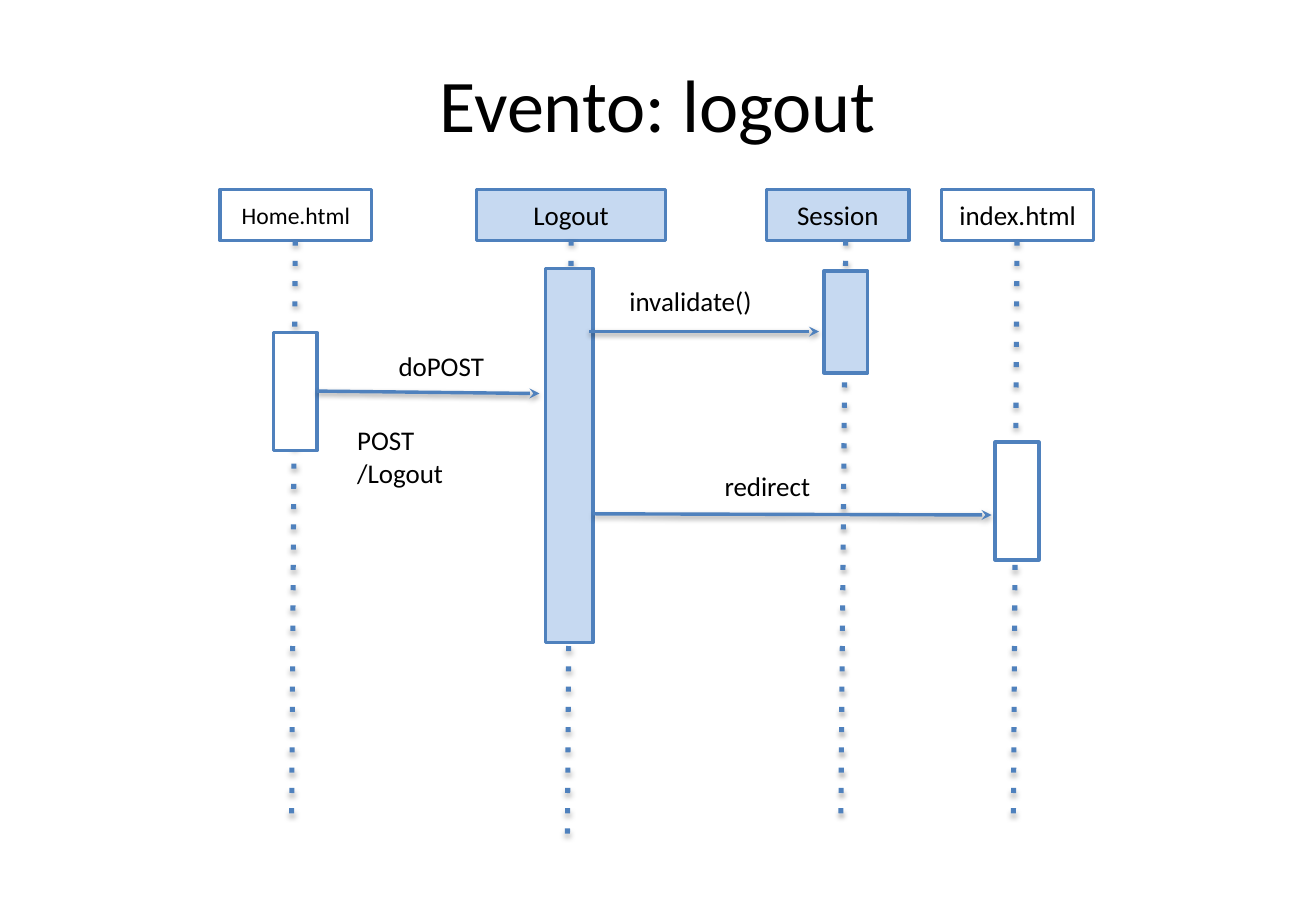
from lxml import etree
from pptx import Presentation
from pptx import util as u
from pptx.dml.color import RGBColor
from pptx.enum import shapes, text
from pptx.oxml import ns

THEME = {
    "font": "Calibri",
    "title": 44, "label": 16, "small": 14,
    "text": "000000", "line": "4F81BD", "plain": "FFFFFF", "servlet": "C6D9F1",
    "border": 2, "lifeline": 3, "shadow": "000000",
}

TITLE = ("Evento: logout", (0.54, 0.3, 9.75, 1.1))
HEAD_TOP, HEAD_HEIGHT = 1.56, 0.42

# name, fill, size, head (left, width), lifeline (top x, bottom x, bottom y), bar
PARTICIPANTS = [
    ("Logout", "servlet", "label", (3.92, 1.56), (4.7, 4.67, 6.89), (4.49, 2.21, 0.39, 3.08)),
    ("Session", "servlet", "label", (6.31, 1.17), (6.96, 6.92, 6.73), (6.78, 2.23, 0.36, 0.84)),
    ("index.html", "plain", "label", (7.75, 1.25), (8.37, 8.34, 6.73), (8.19, 3.64, 0.36, 0.97)),
    ("Home.html", "plain", "small", (1.81, 1.25), (2.43, 2.4, 6.73), (2.25, 2.74, 0.36, 0.97)),
]

MESSAGES = [
    ((2.61, 3.22), (4.44, 3.24)),
    ((4.85, 2.73), (6.74, 2.73)),
    ((4.88, 4.23), (8.16, 4.24)),
]

LABELS = [
    (["doPOST"], (3.16, 2.82, 1.24, 0.4), "LEFT"),
    (["POST", "/Logout"], (2.82, 3.43, 1.37, 0.75), "LEFT"),
    (["redirect"], (5.06, 3.81, 2.51, 0.37), "CENTER"),
    (["invalidate()"], (5.06, 2.28, 1.9, 0.34), "LEFT"),
]


def inches(values):
    return [u.Inches(value) for value in values]


def color(name):
    return RGBColor.from_string(THEME[name])


def write(shape, lines, size, align="CENTER", anchor="MIDDLE"):
    frame = shape.text_frame
    frame.word_wrap = True
    frame.vertical_anchor = text.MSO_ANCHOR[anchor]
    frame.margin_left = frame.margin_right = u.Inches(0.12)
    frame.margin_top = frame.margin_bottom = u.Inches(0.06)
    for index, line in enumerate(lines):
        paragraph = frame.add_paragraph() if index else frame.paragraphs[0]
        paragraph.alignment = text.PP_ALIGN[align]
        run = paragraph.add_run()
        run.text = line
        run.font.name = THEME["font"]
        run.font.size = u.Pt(THEME[size])
        run.font.color.rgb = color("text")


def add_text(slide, lines, place, size, align="CENTER", anchor="TOP"):
    write(slide.shapes.add_textbox(*inches(place)), lines, size, align, anchor)


def add_box(slide, place, fill):
    shape = slide.shapes.add_shape(shapes.MSO_SHAPE.RECTANGLE, *inches(place))
    shape.shadow.inherit = False
    shape.fill.solid()
    shape.fill.fore_color.rgb = color(fill)
    shape.line.color.rgb = color("line")
    shape.line.width = u.Pt(THEME["border"])
    return shape


def child(parent, tag, **attributes):
    values = {name: str(value) for name, value in attributes.items()}
    return etree.SubElement(parent, ns.qn(tag), values)


def add_line(slide, start, end, width, detail, value, opacity, distance):
    connector = slide.shapes.add_connector(
        shapes.MSO_CONNECTOR.STRAIGHT, *inches(start + end))
    connector.line.color.rgb = color("line")
    connector.line.width = u.Pt(THEME[width])
    properties = connector.line._get_or_add_ln()
    child(properties, detail, **value)
    effects = child(properties.getparent(), "a:effectLst")
    shadow = child(effects, "a:outerShdw", blurRad=u.Pt(3.1), dist=u.Pt(distance),
                   dir=90 * 60000, rotWithShape=0)
    shade = child(shadow, "a:srgbClr", val=THEME["shadow"])
    child(shade, "a:alpha", val=opacity * 1000)


def main():
    presentation = Presentation()
    presentation.slide_width = u.Inches(10.83)
    presentation.slide_height = u.Inches(7.5)
    slide = presentation.slides.add_slide(presentation.slide_layouts[6])

    title, title_place = TITLE
    add_text(slide, [title], title_place, "title", anchor="MIDDLE")
    for name, fill, size, (left, width), (top_x, bottom_x, bottom), bar in PARTICIPANTS:
        head = add_box(slide, (left, HEAD_TOP, width, HEAD_HEIGHT), fill)
        write(head, [name], size)
        add_line(slide, (top_x, HEAD_TOP + HEAD_HEIGHT), (bottom_x, bottom),
                 "lifeline", "a:prstDash", {"val": "dot"}, 35, 1.8)
        add_box(slide, bar, fill)
    for start, end in MESSAGES:
        add_line(slide, start, end, "border", "a:tailEnd", {"type": "stealth"}, 38, 1.6)
    for lines, place, align in LABELS:
        add_text(slide, lines, place, "label", align)

    presentation.save("out.pptx")


if __name__ == "__main__":
    main()
